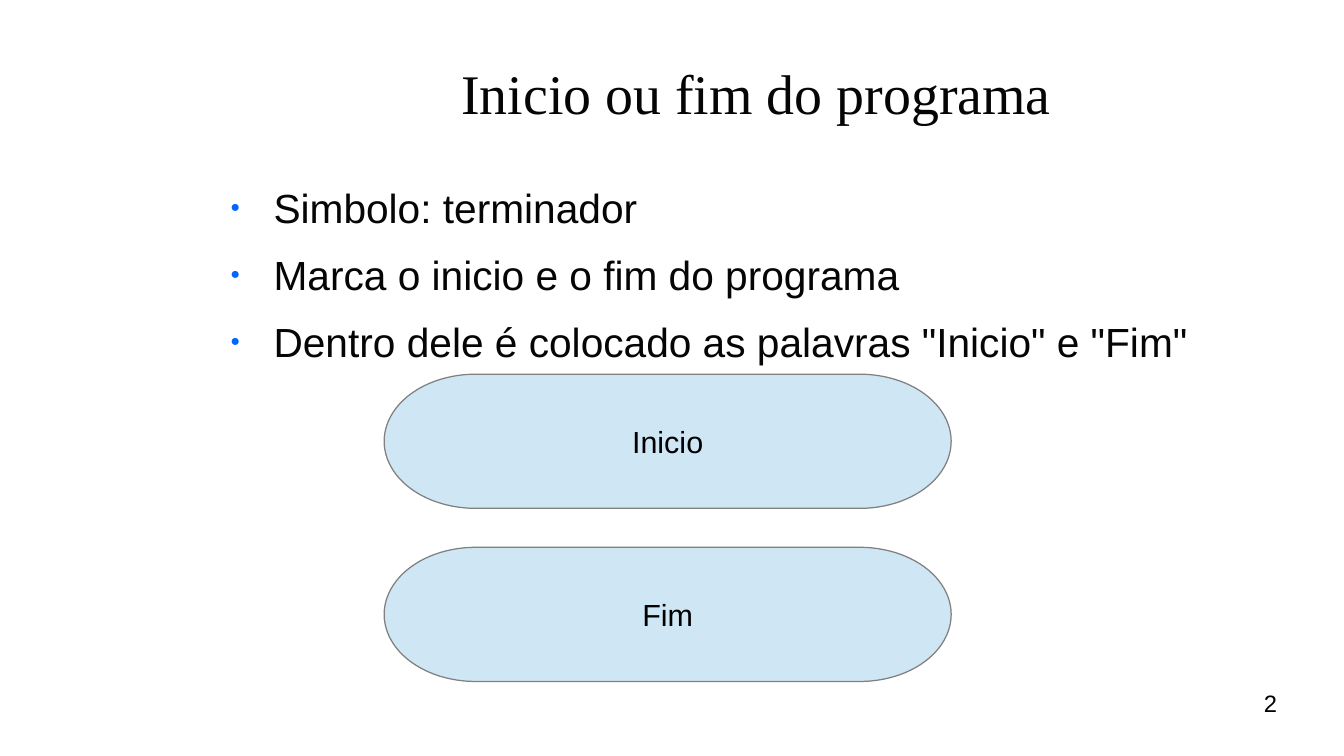
from lxml.etree import SubElement
from pptx import Presentation
from pptx.dml.color import RGBColor
from pptx.enum.shapes import MSO_SHAPE
from pptx.enum.text import MSO_ANCHOR, PP_ALIGN
from pptx.oxml.ns import qn
from pptx.util import Pt

INK = RGBColor(0x05, 0x05, 0x05)
BLACK = RGBColor(0x00, 0x00, 0x00)
BULLET = RGBColor(0x00, 0x66, 0xFF)
PALE_BLUE = RGBColor(0xCF, 0xE7, 0xF5)
GREY = RGBColor(0x80, 0x80, 0x80)


def write(p, text, size, font="Arial", color=BLACK, align=PP_ALIGN.LEFT):
    p.alignment = align
    r = p.add_run()
    r.text = text
    r.font.size = Pt(size)
    r.font.name = font
    r.font.color.rgb = color


def frame(sp, anchor=MSO_ANCHOR.TOP, inset=(0, 0), wrap=True):
    tf = sp.text_frame
    tf.word_wrap = wrap
    tf.vertical_anchor = anchor
    tf.margin_left = tf.margin_right = Pt(inset[0])
    tf.margin_top = tf.margin_bottom = Pt(inset[1])
    return tf


def add_bullet(p, indent, hanging):
    p.space_after = Pt(10.6)
    pPr = p._p.get_or_add_pPr()
    pPr.set("marL", str(Pt(indent)))
    pPr.set("indent", str(-Pt(hanging)))
    color = SubElement(pPr, qn("a:buClr"))
    SubElement(color, qn("a:srgbClr"), val=str(BULLET))
    SubElement(pPr, qn("a:buSzPct"), val="40000")
    SubElement(pPr, qn("a:buFont"), typeface="Arial")
    SubElement(pPr, qn("a:buChar"), char="●")


def place_title(s, x, y, w, h, text):
    sp = s.shapes.title
    sp.left, sp.top, sp.width, sp.height = Pt(x), Pt(y), Pt(w), Pt(h)
    tf = frame(sp, MSO_ANCHOR.MIDDLE)
    write(tf.paragraphs[0], text, 33, font="Times New Roman", color=INK,
          align=PP_ALIGN.CENTER)


def add_bullets(s, x, y, w, h, items):
    tf = frame(s.shapes.add_textbox(Pt(x), Pt(y), Pt(w), Pt(h)))
    for i, item in enumerate(items):
        p = tf.add_paragraph() if i else tf.paragraphs[0]
        write(p, item, 24, color=INK)
        add_bullet(p, 34, 25.5)


def add_terminators(s, x, y, w, h, labels, gap=23):
    height = (h - gap * (len(labels) - 1)) / len(labels)
    for i, label in enumerate(labels):
        sp = s.shapes.add_shape(MSO_SHAPE.FLOWCHART_TERMINATOR, Pt(x),
                                Pt(y + i * (height + gap)), Pt(w), Pt(height))
        sp.shadow.inherit = False
        sp.fill.solid()
        sp.fill.fore_color.rgb = PALE_BLUE
        sp.line.color.rgb = GREY
        sp.line.width = Pt(0)
        tf = frame(sp, MSO_ANCHOR.MIDDLE, inset=(7.2, 3.6), wrap=False)
        write(tf.paragraphs[0], label, 18, align=PP_ALIGN.CENTER)


def add_page_number(s, x, y, w, h, number):
    tf = frame(s.shapes.add_textbox(Pt(x), Pt(y), Pt(w), Pt(h)))
    write(tf.paragraphs[0], str(number), 14, align=PP_ALIGN.RIGHT)


def main():
    prs = Presentation()
    prs.slide_width, prs.slide_height = Pt(793.5), Pt(446.4)
    s = prs.slides.add_slide(prs.slide_layouts[5])
    place_title(s, 127.5, 17.5, 638, 73.5, "Inicio ou fim do programa")
    add_bullets(s, 127.5, 108, 638, 259, [
        "Simbolo: terminador",
        "Marca o inicio e o fim do programa",
        'Dentro dele é colocado as palavras "Inicio" e "Fim"',
    ])
    add_terminators(s, 226.8, 221, 334.8, 181.4, ["Inicio", "Fim"])
    add_page_number(s, 569, 406.8, 185, 31, 2)
    prs.save("out.pptx")


if __name__ == "__main__":
    main()
